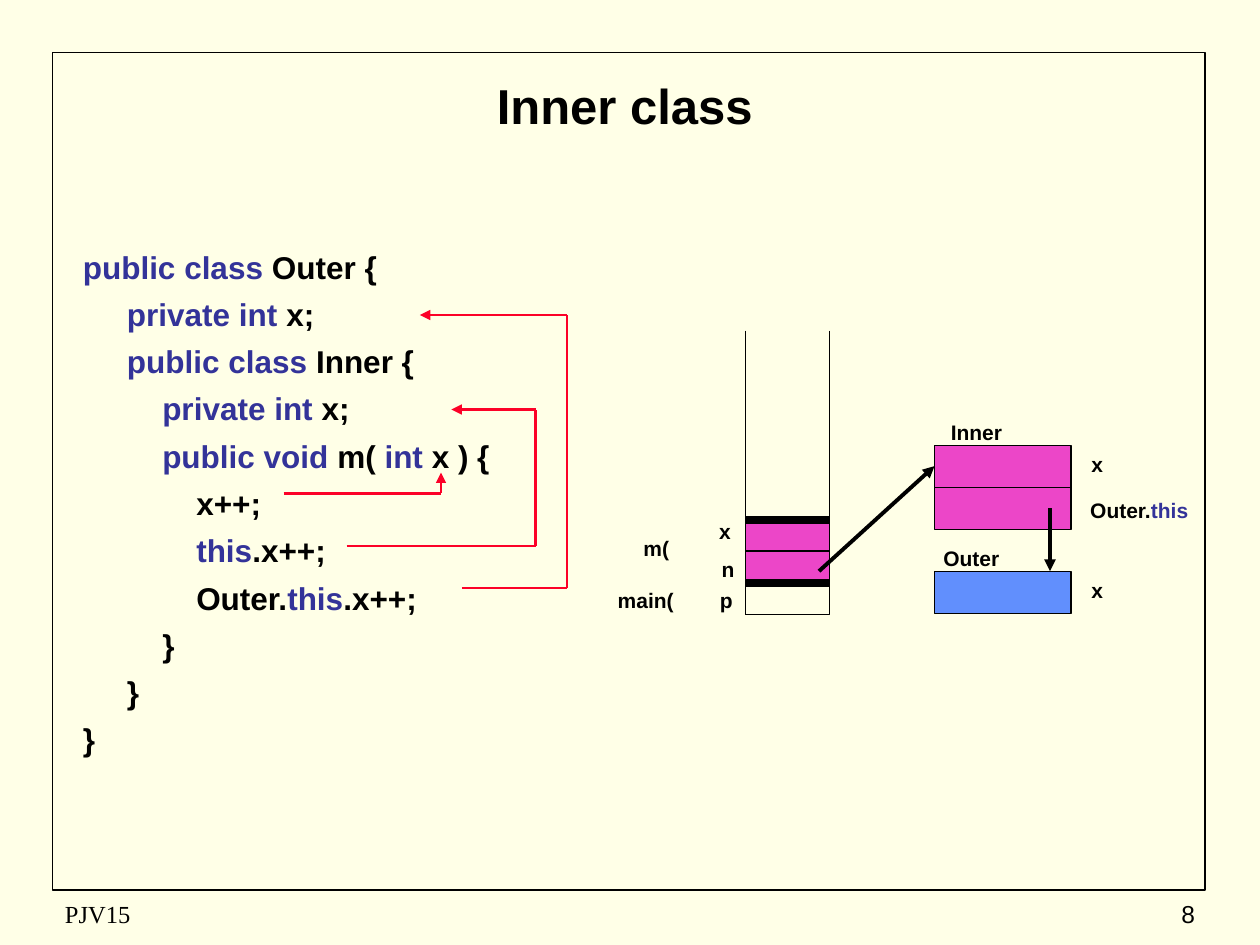
from dataclasses import dataclass
from itertools import pairwise
from lxml.etree import SubElement as Sub
from pptx import Presentation
from pptx.dml.color import RGBColor as Rgb
from pptx.enum.shapes import MSO_CONNECTOR as Conn, MSO_SHAPE as Kind
from pptx.enum.text import MSO_ANCHOR as Anchor, MSO_AUTO_SIZE as Auto, PP_ALIGN as Align
from pptx.oxml.ns import qn
from pptx.util import Inches, Pt


@dataclass(frozen=True)
class Theme:
    paper: str = "FFFFE7"
    ink: str = "000000"
    key: str = "333399"
    pink: str = "EC46C8"
    blue: str = "618FFD"
    red: str = "FC0128"
    sans: str = "Arial"
    serif: str = "Times New Roman"
    title: float = 28
    code: float = 18
    foot: float = 14
    label: float = 12
    hair: float = 0.75
    rule: float = 1
    trace: float = 1.5
    ref: float = 2.25
    bar: float = 4.5


T = Theme()
COLS, ROWS = 120, 90
STEPS = (0.06, 0.41, 0.69, 0.96)

CODE = (
    (0, "|public class| Outer {"),
    (1, "|private int| x;"),
    (1, "|public class |Inner {"),
    (2, "|private int| x;"),
    (2, "|public void| m( |int| x ) {"),
    (3, "x++;"),
    (3, "|this|.x++;"),
    (3, "Outer.|this|.x++;"),
    (2, "}"),
    (1, "}"),
    (0, "}"),
)

LABELS = (
    ("main(", 57, 55.4, 9, 0),
    ("m(", 58, 50.4, 9, 0),
    ("p", 63, 55.4, 9, 0.28),
    ("n", 64, 52.4, 9, 0.14),
    ("x", 64, 48.8, 9, 0.09),
    ("Outer", 88, 51.4, 9, 0),
    ("Inner", 87, 39.4, 12, 0),
    ("x", 100, 54.4, 9, 0),
    ("Outer.|this|", 101, 46.8, 15, 0),
    ("x", 100, 42.4, 9, 0),
)


def grid(*spots):
    return [Inches(spot / 12) for spot in spots]


def write(para, text, size, bold=True, font=T.sans):
    for spot, part in enumerate(text.split("|")):
        if part:
            run = para.add_run()
            run.text = part
            run.font.size = Pt(size)
            run.font.bold = bold
            run.font.name = font
            run.font.color.rgb = Rgb.from_string(T.key if spot % 2 else T.ink)


def frame(slide, *area):
    text = slide.shapes.add_textbox(*grid(*area)).text_frame
    text.word_wrap = True
    return text


def indent(para, size):
    props = para._p.get_or_add_pPr()
    props.set("marL", str(Inches(size)))
    props.set("indent", "0")


def label(slide, text, col, row, wide, shift):
    para = frame(slide, col, row, wide, 3.6).paragraphs[0]
    para.alignment = Align.CENTER
    indent(para, shift)
    write(para, text, T.label)


def foot(slide, text, col, wide, align, font):
    box = frame(slide, col, 85, wide, 4)
    box.vertical_anchor = Anchor.MIDDLE
    box.paragraphs[0].alignment = align
    write(box.paragraphs[0], text, T.foot, False, font)


def rect(slide, area, fill=None, width=T.hair):
    shape = slide.shapes.add_shape(Kind.RECTANGLE, *grid(*area))
    shape.shadow.inherit = False
    if fill:
        shape.fill.solid()
        shape.fill.fore_color.rgb = Rgb.from_string(fill)
    else:
        shape.fill.background()
    shape.line.color.rgb = Rgb.from_string(T.ink)
    shape.line.width = Pt(width)


def line(slide, start, end, width=T.hair, color=T.ink, arrow=False):
    conn = slide.shapes.add_connector(Conn.STRAIGHT, *grid(*start, *end))
    conn.line.color.rgb = Rgb.from_string(color)
    conn.line.width = Pt(width)
    props = conn._element.spPr
    if arrow:
        Sub(props.find(qn("a:ln")), qn("a:tailEnd"), type="triangle")
    Sub(props, qn("a:effectLst"))


def route(slide, spots, last=T.trace):
    for start, end in pairwise(spots):
        tip = end == spots[-1]
        line(slide, start, end, last if tip else T.trace, T.red, tip)


def title(slide):
    shape = slide.shapes.title
    shape.left, shape.top, shape.width, shape.height = grid(6, 6, 107, 8)
    text = shape.text_frame
    text.auto_size = Auto.NONE
    text.vertical_anchor = Anchor.MIDDLE
    text.paragraphs[0].alignment = Align.CENTER
    write(text.paragraphs[0], "Inner class", T.title)


def code(slide):
    text = frame(slide, 6, 23, 49, 54)
    for spot, (level, words) in enumerate(CODE):
        para = text.add_paragraph() if spot else text.paragraphs[0]
        para.alignment = Align.JUSTIFY
        para.space_before = Pt(5.4)
        indent(para, STEPS[level])
        write(para, words, T.code)


def stack(slide):
    left, right, top, base = 71, 79, 49.5, 58.5
    rect(slide, (left, top, right - left, 6), T.pink)
    rect(slide, (left, top + 3, right - left, 6))
    for col in (left, right):
        line(slide, (col, 31.5), (col, base))
    for row, width in ((base, T.hair), (top + 6, T.bar), (top + 3, T.rule), (top, T.bar)):
        line(slide, (left, row), (right, row), width)


def heap(slide):
    left, wide, top = 89, 13, 42.4
    rect(slide, (left, top, wide, 8), T.pink)
    rect(slide, (left, top + 12, wide, 4), T.blue)
    line(slide, (left, top + 4), (left + wide, top + 4))
    line(slide, (78, 54.4), (left, 44.4), T.ref, arrow=True)
    line(slide, (100, 48.4), (100, top + 12), T.ref, arrow=True)


def main():
    deck = Presentation()
    deck.slide_width, deck.slide_height = grid(COLS, ROWS)
    slide = deck.slides.add_slide(deck.slide_layouts[5])
    slide.background.fill.solid()
    slide.background.fill.fore_color.rgb = Rgb.from_string(T.paper)
    rect(slide, (5, 5, 109.8, 79.8), width=T.rule)
    foot(slide, "PJV15", 5, 38, Align.LEFT, T.serif)
    foot(slide, "8", 90, 25, Align.RIGHT, T.sans)
    title(slide)
    code(slide)
    stack(slide)
    heap(slide)
    for item in LABELS:
        label(slide, *item)
    route(slide, ((27, 47), (42, 47), (42, 45)), T.hair)
    route(slide, ((33, 52), (51, 52), (51, 39), (43, 39)))
    route(slide, ((44, 56), (54, 56), (54, 30), (40, 30)))
    deck.save("out.pptx")


if __name__ == "__main__":
    main()
